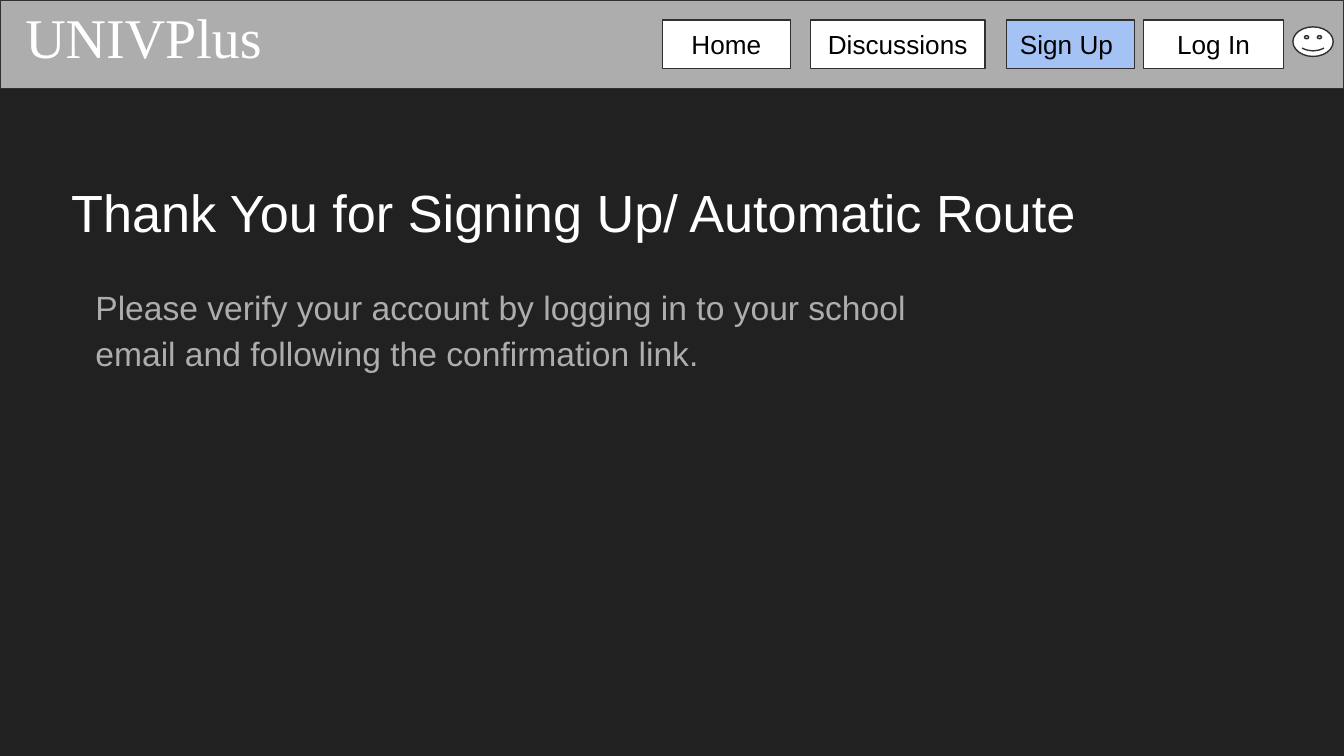
from lxml.etree import SubElement
from pptx import Presentation
from pptx.dml.color import RGBColor
from pptx.enum.shapes import MSO_SHAPE as Shape
from pptx.enum.text import MSO_ANCHOR as Anchor, MSO_AUTO_SIZE as AutoSize, PP_ALIGN as Align
from pptx.oxml.ns import qn
from pptx.util import Inches, Pt

BACKGROUND, GREY, OUTLINE = "212121", "ADADAD", "303030"
WHITE, BLACK, HIGHLIGHT = "FFFFFF", "000000", "A4C2F4"


def color(hex_value):
    return RGBColor.from_string(hex_value)


def place(shape, box):
    for name, value in zip(("left", "top", "width", "height"), box):
        setattr(shape, name, Inches(value))


def write(shape, text, size, text_color, font="Arial", anchor=Anchor.TOP, **paragraph_format):
    frame = shape.text_frame
    frame_format = {"word_wrap": True, "auto_size": AutoSize.NONE, "vertical_anchor": anchor}
    frame_format.update({f"margin_{side}": Inches(0.1) for side in ("left", "top", "right", "bottom")})
    for name, value in frame_format.items():
        setattr(frame, name, value)
    frame.text = text
    paragraph = frame.paragraphs[0]
    for name, value in {"alignment": Align.LEFT, "space_before": Pt(0), **paragraph_format}.items():
        setattr(paragraph, name, value)
    run_font = paragraph.runs[0].font
    for name, value in {"name": font, "size": Pt(size)}.items():
        setattr(run_font, name, value)
    run_font.color.rgb = color(text_color)
    return paragraph


def add_outlined(slide, kind, box, fill):
    shape = slide.shapes.add_shape(kind, *map(Inches, box))
    shape.shadow.inherit = False
    shape.fill.solid()
    shape.fill.fore_color.rgb = color(fill)
    shape.line.color.rgb = color(OUTLINE)
    shape.line.width = Pt(0.75)
    return shape


def add_message(slide, box, title, body):
    left, top, width, height = box
    place(slide.shapes.title, (left, top, width, 0.63))
    write(slide.shapes.title, title, 28, WHITE)

    # Body without bullet or indent
    body_shape = slide.placeholders[1]
    place(body_shape, (left + 0.18, top + 0.75, 6.47, height - 0.75))
    paragraph = write(body_shape, body, 18, GREY, line_spacing=1.15, space_after=Pt(16))
    properties = paragraph._p.get_or_add_pPr()
    properties.set("marL", "0")
    properties.set("indent", "0")
    SubElement(properties, qn("a:buNone"))


def add_navigation(slide, box, site_name, buttons):
    left, top, width, height = box
    add_outlined(slide, Shape.RECTANGLE, box, GREY)

    # Site name
    name_box = slide.shapes.add_textbox(*map(Inches, (left + 0.09, top - 0.08, 3.54, 0.75)))
    write(name_box, site_name, 30, WHITE, font="Times New Roman")

    # Buttons
    for label, offset, button_width, fill, alignment in buttons:
        button = add_outlined(slide, Shape.RECTANGLE, (left + offset, top + 0.15, button_width, 0.36), fill)
        write(button, label, 14, BLACK, anchor=Anchor.MIDDLE, alignment=alignment)

    # Profile icon
    add_outlined(slide, Shape.SMILEY_FACE, (left + width - 0.38, top + 0.2, 0.3, 0.22), WHITE)


# Widescreen slide, 16:9
presentation = Presentation()
presentation.slide_width, presentation.slide_height = Inches(10), Inches(10 * 9 / 16)
slide = presentation.slides.add_slide(presentation.slide_layouts[1])
slide.background.fill.solid()
slide.background.fill.fore_color.rgb = color(BACKGROUND)

add_message(
    slide, (0.43, 1.24, 9.32, 4.49),
    "Thank You for Signing Up/ Automatic Route",
    "Please verify your account by logging in to your school email and following the confirmation link.",
)
add_navigation(slide, (0, 0, 10, 0.66), "UNIVPlus", [
    ("Home", 4.93, 0.95, WHITE, Align.CENTER),
    ("Discussions", 6.03, 1.3, WHITE, Align.CENTER),
    ("Sign Up", 7.49, 0.95, HIGHLIGHT, Align.LEFT),
    ("Log In", 8.51, 1.04, WHITE, Align.CENTER),
])
presentation.save("out.pptx")
